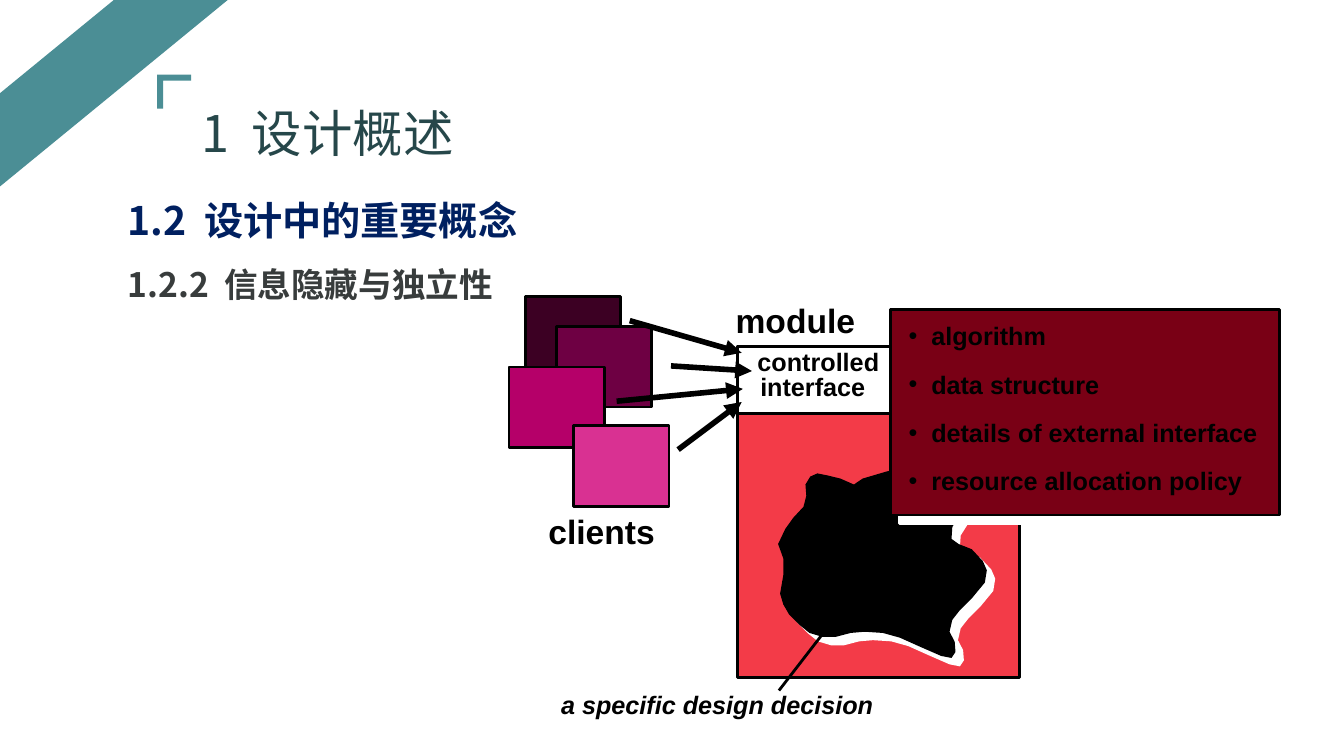
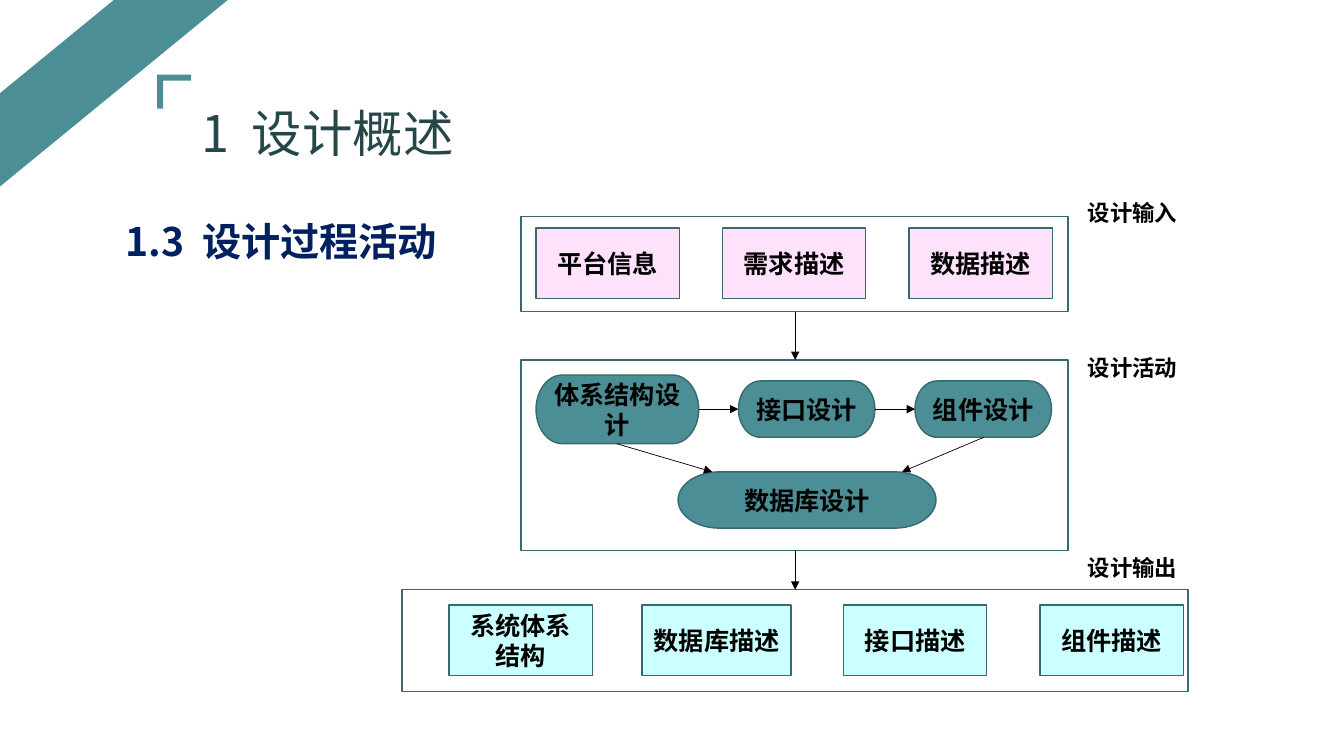
"""Builds two slides on software design: information hiding and the design process."""
import dataclasses

import lxml.etree
import pptx
import pptx.dml.color
import pptx.enum.shapes
import pptx.enum.text
import pptx.oxml.ns
import pptx.util

Cm = pptx.util.Cm
Pt = pptx.util.Pt
PRESET = pptx.enum.shapes.MSO_SHAPE
ALIGN = pptx.enum.text.PP_ALIGN
ANCHOR = pptx.enum.text.MSO_ANCHOR

TEAL, DARK_TEAL, EDGE_TEAL = "4B8E95", "26474A", "37696E"
NAVY, GREY, BLACK, WHITE = "002060", "383C3C", "000000", "FFFFFF"
RED, MAROON, PINK, CYAN = "F33B48", "790015", "FEE2FC", "CCFFFF"
LATIN, CHINESE = "Arial", "Noto Sans CJK SC"
LABEL = {"name": LATIN, "size": Pt(18), "bold": True}
LARGE_LABEL = {**LABEL, "size": Pt(24)}
SIDE_LABEL = {**LABEL, "size": Pt(16)}
TITLE = {"name": CHINESE, "size": Pt(36)}
SECTION = {"name": CHINESE, "size": Pt(28), "bold": True}
SUBSECTION = {**SECTION, "size": Pt(24)}

SECRET_OUTLINE = [
    (1.91, 0.43), (1.57, 0.28), (1.24, 0.2), (0.99, 0.15), (0.81, 0.23), (0.69, 0.43),
    (0.71, 0.71), (0.64, 0.99), (0.38, 1.27), (0.18, 1.55), (0, 1.93), (0.13, 2.29),
    (0.13, 2.72), (0.05, 3.18), (0.13, 3.45), (0.28, 3.71), (0.53, 3.96), (0.79, 4.17),
    (1.12, 4.27), (1.45, 4.27), (1.83, 4.17), (2.18, 4.14), (2.64, 4.17), (3.07, 4.29),
    (3.58, 4.52), (4.11, 4.75), (4.37, 4.8), (4.47, 4.65), (4.45, 4.39), (4.32, 4.14),
    (4.39, 3.84), (4.57, 3.61), (4.88, 3.3), (5.21, 2.9), (5.26, 2.59), (5.16, 2.36),
    (4.88, 2.06), (4.55, 1.93), (4.37, 1.8), (4.39, 1.5), (4.65, 1.09), (4.9, 0.58),
    (4.78, 0.38), (4.29, 0.38), (3.94, 0.25), (3.61, 0.03), (3.17, 0), (2.74, 0.1),
    (2.13, 0.28),
]


def color(hex_text):
    """Turn a hex string into a colour."""
    return pptx.dml.color.RGBColor.from_string(hex_text)


def add_xml(parent, tag, **attributes):
    """Append a DrawingML element and return it."""
    return lxml.etree.SubElement(parent, pptx.oxml.ns.qn(tag), attributes)


def set_all(target, values):
    """Set every attribute named in a dict."""
    for name, value in values.items():
        setattr(target, name, value)


def write(paragraph, text, style, ink=BLACK):
    """Add a formatted run to a paragraph and return its properties."""
    run = paragraph.add_run()
    run.text = text
    set_all(run.font, style)
    run.font.color.rgb = color(ink)
    properties = run._r.get_or_add_rPr()
    add_xml(properties, "a:ea", typeface=CHINESE)
    return properties


def write_heading(paragraph, number, text, style, ink):
    """Write a number and a heading with a widened space between them."""
    write(paragraph, number, style, ink)
    space = write(paragraph, " ", style, ink)
    space.set("spc", str(round(style["size"].pt * 22)))
    write(paragraph, text, style, ink)


def paint(shape, fill, edge=None, weight=1, shadow=False):
    """Give a shape its fill, edge and optional white shadow."""
    shape.shadow.inherit = False
    shape.fill.solid()
    shape.fill.fore_color.rgb = color(fill)
    if edge:
        shape.line.color.rgb = color(edge)
        shape.line.width = Pt(weight)
    else:
        shape.line.fill.background()
    if shadow:
        effects = shape._element.spPr.find(pptx.oxml.ns.qn("a:effectLst"))
        outer = add_xml(effects, "a:outerShdw", blurRad="0", dist=str(Pt(8.5)),
                        dir="2700000", algn="tl", rotWithShape="0")
        add_xml(outer, "a:srgbClr", val=WHITE)


@dataclasses.dataclass
class Region:
    """A part of a slide whose contents are placed from its top left corner."""
    slide: object
    left: float
    top: float

    def point(self, x, y):
        """Return the slide position of a point in the region."""
        return Cm(self.left + x), Cm(self.top + y)

    def box(self, x, y, width, height, fill, preset=PRESET.RECTANGLE, text="", **finish):
        """Add a preset shape with optional centred text."""
        shape = self.slide.shapes.add_shape(
            preset, *self.point(x, y), Cm(width), Cm(height))
        paint(shape, fill, **finish)
        if text:
            set_all(shape.text_frame, {"word_wrap": True, "vertical_anchor": ANCHOR.MIDDLE})
            paragraph = shape.text_frame.paragraphs[0]
            paragraph.alignment = ALIGN.CENTER
            write(paragraph, text, LABEL)

    def frame(self, x, y, width, height, anchor=ANCHOR.TOP):
        """Add an empty wrapping text box and return its text frame."""
        frame = self.slide.shapes.add_textbox(
            *self.point(x, y), Cm(width), Cm(height)).text_frame
        set_all(frame, {"word_wrap": True, "vertical_anchor": anchor})
        return frame

    def label(self, x, y, width, text, style=LABEL):
        """Add a one-line label."""
        write(self.frame(x, y, width, 1.1).paragraphs[0], text, style)

    def outline(self, x, y, points, fill, **finish):
        """Add a closed outline from points given in centimetres."""
        corners = [(Cm(across), Cm(down)) for across, down in points]
        builder = self.slide.shapes.build_freeform(*corners[0])
        builder.add_line_segments(corners[1:], close=True)
        paint(builder.convert_to_shape(*self.point(x, y)), fill, **finish)

    def line(self, start, end, weight, arrow=True):
        """Add a black straight line, by default with an arrowhead."""
        connector = self.slide.shapes.add_connector(
            pptx.enum.shapes.MSO_CONNECTOR.STRAIGHT, *self.point(*start), *self.point(*end))
        connector.line.color.rgb = color(BLACK)
        connector.line.width = Pt(weight)
        if arrow:
            outline = connector._element.spPr.find(pptx.oxml.ns.qn("a:ln"))
            add_xml(outline, "a:tailEnd", type="triangle")
        add_xml(connector._element.spPr, "a:effectLst")


def add_content_slide(presentation):
    """Add a slide with the corner stripe, bracket and chapter title."""
    slide = presentation.slides.add_slide(presentation.slide_layouts[6])
    Region(slide, 0, 0).box(0, 0, 5.74, 4.7, TEAL, PRESET.DIAGONAL_STRIPE)
    header = Region(slide, 3.96, 1.88)
    size, thick = 0.86, 0.15
    bracket = [(0, 0), (size, 0), (size, thick), (thick, thick), (thick, size), (0, size)]
    header.outline(0, 0, bracket, TEAL)
    title = header.frame(0.87, 0.56, 14.63, 1.8)
    write_heading(title.paragraphs[0], "1", "设计概述", TITLE, DARK_TEAL)
    return slide


def draw_headings(region, headings):
    """Write the numbered section headings."""
    frame = region.frame(0, 0, 29.29, 1.8 * len(headings))
    for index, heading in enumerate(headings):
        paragraph = frame.add_paragraph() if index else frame.paragraphs[0]
        paragraph.line_spacing = 1.5
        write_heading(paragraph, *heading)


def draw_clients(region):
    """Draw the overlapping client squares and their label."""
    squares = [(0.41, 0, "3C0023"), (1.19, 0.76, "6E0043"),
               (0, 1.78, "B50069"), (1.63, 3.26, "D93192")]
    for x, y, fill in squares:
        region.box(x, y, 2.4, 2.03, fill, edge=BLACK, weight=2)
    region.label(0.74, 5.28, 3.6, "clients", LARGE_LABEL)


def draw_secrets(region):
    """Draw the panel listing what a module hides."""
    region.box(0, 0, 9.8, 5.18, MAROON, edge=BLACK, weight=2, shadow=True)
    frame = region.frame(0.2, 0.15, 9.6, 4.7)
    secrets = ["algorithm", "data structure", "details of external interface",
               "resource allocation policy"]
    for index, secret in enumerate(secrets):
        paragraph = frame.add_paragraph() if index else frame.paragraphs[0]
        paragraph.space_after = Pt(13)
        properties = paragraph._p.get_or_add_pPr()
        properties.set("marL", str(Cm(0.57)))
        properties.set("indent", str(Cm(-0.57)))
        add_xml(properties, "a:buFont", typeface=LATIN)
        add_xml(properties, "a:buChar", char="•")
        write(paragraph, secret, LABEL)


def draw_module(region):
    """Draw the module with its interface, hidden part and incoming arrows."""
    region.box(0, 1.3, 7.11, 8.33, RED, edge=BLACK, weight=2)
    region.label(-0.3, 0, 4, "module", LARGE_LABEL)
    region.outline(1.02, 4.34, SECRET_OUTLINE, BLACK, shadow=True)
    region.box(0, 1.3, 7.11, 1.68, WHITE, edge=BLACK, weight=2)
    region.label(0.25, 1.17, 4, "controlled")
    region.label(0.32, 1.8, 4, "interface")
    draw_secrets(Region(region.slide, region.left + 3.86, region.top + 0.36))
    region.label(-4.7, 9.8, 9, "a specific design decision", {**LABEL, "italic": True})
    region.line((3.28, 7.06), (1.04, 9.96), 2, arrow=False)
    arrows = [((-1.68, 1.78), (0.36, 1.91)), ((-2.72, 0.64), (0.1, 1.45)),
              ((-3.05, 2.67), (0.13, 2.36)), ((-1.5, 3.89), (0.1, 2.69))]
    for start, end in arrows:
        region.line(start, end, 4)


def draw_process(region):
    """Draw the design inputs, activities and outputs with their flow."""
    edge = {"edge": EDGE_TEAL}
    for x, y, width, height in [(3, 0.71, 13.79, 2.39), (3, 4.32, 13.79, 4.8),
                                (0, 10.11, 19.81, 2.57)]:
        region.box(x, y, width, height, WHITE, **edge)
    for index, text in enumerate(["平台信息", "需求描述", "数据描述"]):
        region.box(3.38 + 4.7 * index, 1, 3.61, 1.78, PINK, text=text, **edge)
    outputs = [(1.19, 3.61, "系统体系结构"), (6.05, 3.76, "数据库描述"),
               (11.13, 3.61, "接口描述"), (16.08, 3.61, "组件描述")]
    for x, width, text in outputs:
        region.box(x, 10.5, width, 1.78, CYAN, text=text, **edge)
    activities = [(3.38, 4.7, 4.1, 1.73, "体系结构设计"), (8.48, 4.85, 3.44, 1.42, "接口设计"),
                  (12.93, 4.85, 3.44, 1.42, "组件设计"), (6.96, 7.14, 6.5, 1.42, "数据库设计")]
    for *place, text in activities:
        region.box(*place, TEAL, PRESET.FLOWCHART_TERMINATOR, text, **edge)
    arrows = [((9.91, 3.1), (9.91, 4.32)), ((9.91, 9.12), (9.91, 10.11)),
              ((7.48, 5.56), (8.48, 5.56)), ((11.93, 5.56), (12.93, 5.56)),
              ((5.41, 6.43), (7.82, 7.14)), ((14.66, 6.27), (12.6, 7.14))]
    for start, end in arrows:
        region.line(start, end, 0.5)
    for y, text in [(0, "设计输入"), (3.9, "设计活动"), (8.95, "设计输出")]:
        paragraph = region.frame(16.81, y, 3.2, 1.2, ANCHOR.MIDDLE).paragraphs[0]
        paragraph.alignment = ALIGN.CENTER
        write(paragraph, text, SIDE_LABEL)


def main():
    """Build the presentation and save it."""
    presentation = pptx.Presentation()
    set_all(presentation, {"slide_width": Cm(33.87), "slide_height": Cm(19.05)})

    hiding = add_content_slide(presentation)
    draw_headings(Region(hiding, 2.97, 4.24), [
        ("1.2", "设计中的重要概念", SECTION, NAVY),
        ("1.2.2", "信息隐藏与独立性", SUBSECTION, GREY)])
    draw_clients(Region(hiding, 12.83, 7.47))
    draw_module(Region(hiding, 18.59, 7.44))

    process = add_content_slide(presentation)
    draw_headings(Region(process, 2.92, 4.75), [("1.3", "设计过程活动", SECTION, NAVY)])
    draw_process(Region(process, 10.13, 4.75))

    presentation.save("out.pptx")


if __name__ == "__main__":
    main()
